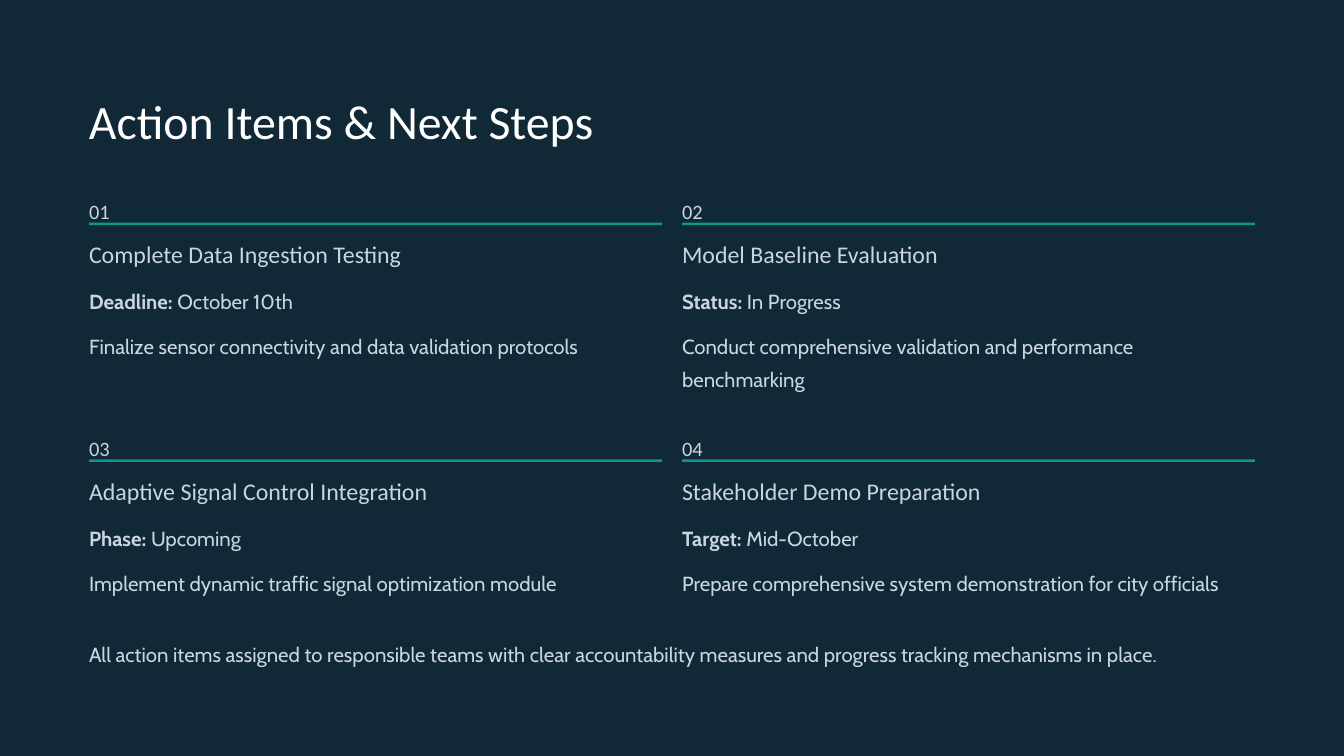
from pptx import Presentation
from pptx.dml.color import RGBColor
from pptx.enum.shapes import MSO_SHAPE as Shape
from pptx.enum.text import MSO_ANCHOR as Anchor, PP_ALIGN as Align
from pptx.util import Pt

NAVY = RGBColor(0x11, 0x28, 0x36)
TEAL = RGBColor(0x0A, 0x98, 0x8B)
MIST = RGBColor(0xCA, 0xD6, 0xDE)
WHITE = RGBColor(0xFF, 0xFF, 0xFF)

HEADING_FONT = "Calibri"
BODY_FONT = "Cabin"

# Grid, in points
LEFT = 76.3
COLUMN_WIDTH = 491
COLUMN_STEP = 508.3
FIRST_ROW = 163.4
ROW_STEP = 203
PAGE_WIDTH = COLUMN_STEP + COLUMN_WIDTH

ACTIONS = [
    ("Complete Data Ingestion Testing", "Deadline:", "October 10th",
     "Finalize sensor connectivity and data validation protocols"),
    ("Model Baseline Evaluation", "Status:", "In Progress",
     "Conduct comprehensive validation and performance benchmarking"),
    ("Adaptive Signal Control Integration", "Phase:", "Upcoming",
     "Implement dynamic traffic signal optimization module"),
    ("Stakeholder Demo Preparation", "Target:", "Mid-October",
     "Prepare comprehensive system demonstration for city officials"),
]


class ActionSlide:
    def __init__(self, deck):
        self.page = deck.slides.add_slide(deck.slide_layouts[6])
        fill = self.page.background.fill
        fill.solid()
        fill.fore_color.rgb = NAVY

    def text(self, left, top, width, height, words, label="", font=BODY_FONT,
             size=17.5, leading=28, color=MIST):
        box = self.page.shapes.add_textbox(Pt(left), Pt(top), Pt(width), Pt(height))
        frame = box.text_frame
        frame.word_wrap = True
        frame.vertical_anchor = Anchor.TOP
        frame.margin_left = frame.margin_right = 0
        frame.margin_top = frame.margin_bottom = 0
        para = frame.paragraphs[0]
        para.alignment = Align.LEFT
        para.line_spacing = Pt(leading)
        para.font.name = font
        para.font.size = Pt(size)
        para.font.color.rgb = color
        if label:
            span = para.add_run()
            span.text = label
            span.font.bold = True
            words = " " + words
        para.add_run().text = words

    def rule(self, left, top, width):
        bar = self.page.shapes.add_shape(
            Shape.RECTANGLE, Pt(left), Pt(top), Pt(width), Pt(2.2))
        bar.shadow.inherit = False
        bar.fill.solid()
        bar.fill.fore_color.rgb = TEAL
        bar.line.fill.background()

    def action(self, number, left, top, heading, label, value, detail):
        self.text(left, top, COLUMN_WIDTH, 22.3, f"{number:02}", font=HEADING_FONT)
        self.rule(left, top + 27.4, COLUMN_WIDTH)
        self.text(left, top + 41.1, COLUMN_WIDTH, 26, heading,
                  font=HEADING_FONT, size=20.5, leading=25.5)
        self.text(left, top + 77.1, COLUMN_WIDTH, 28, value, label=label)
        self.text(left, top + 116, COLUMN_WIDTH, 28, detail)


def main():
    deck = Presentation()
    deck.slide_width, deck.slide_height = Pt(1152), Pt(648)
    slide = ActionSlide(deck)

    # Title
    slide.text(LEFT, 76.3, 643, 51.8, "Action Items & Next Steps",
               font=HEADING_FONT, size=41, leading=51.5, color=WHITE)

    # Two by two grid of actions
    for index, action in enumerate(ACTIONS):
        row, column = divmod(index, 2)
        slide.action(index + 1, LEFT + column * COLUMN_STEP,
                     FIRST_ROW + row * ROW_STEP, *action)

    # Closing line
    slide.text(LEFT, 543.6, PAGE_WIDTH, 28,
               "All action items assigned to responsible teams with clear "
               "accountability measures and progress tracking mechanisms in place.")

    deck.save("out.pptx")


if __name__ == "__main__":
    main()
